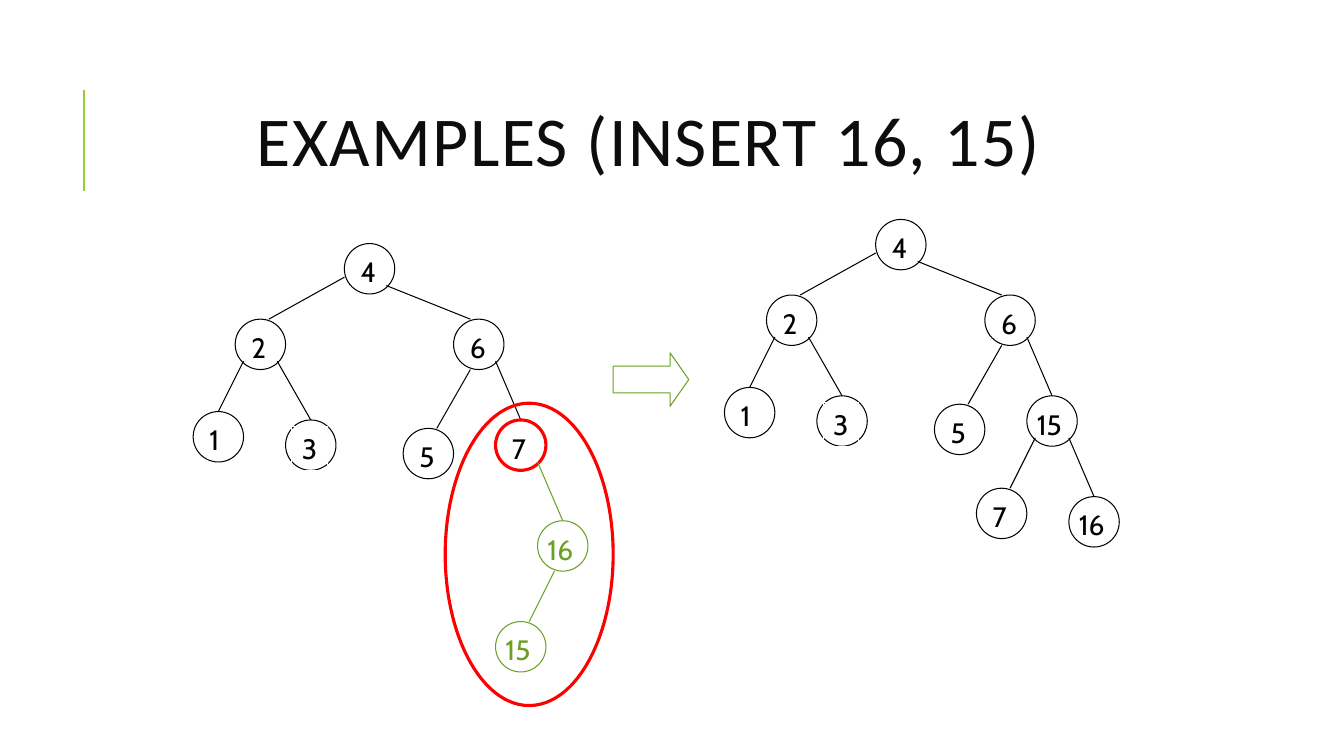
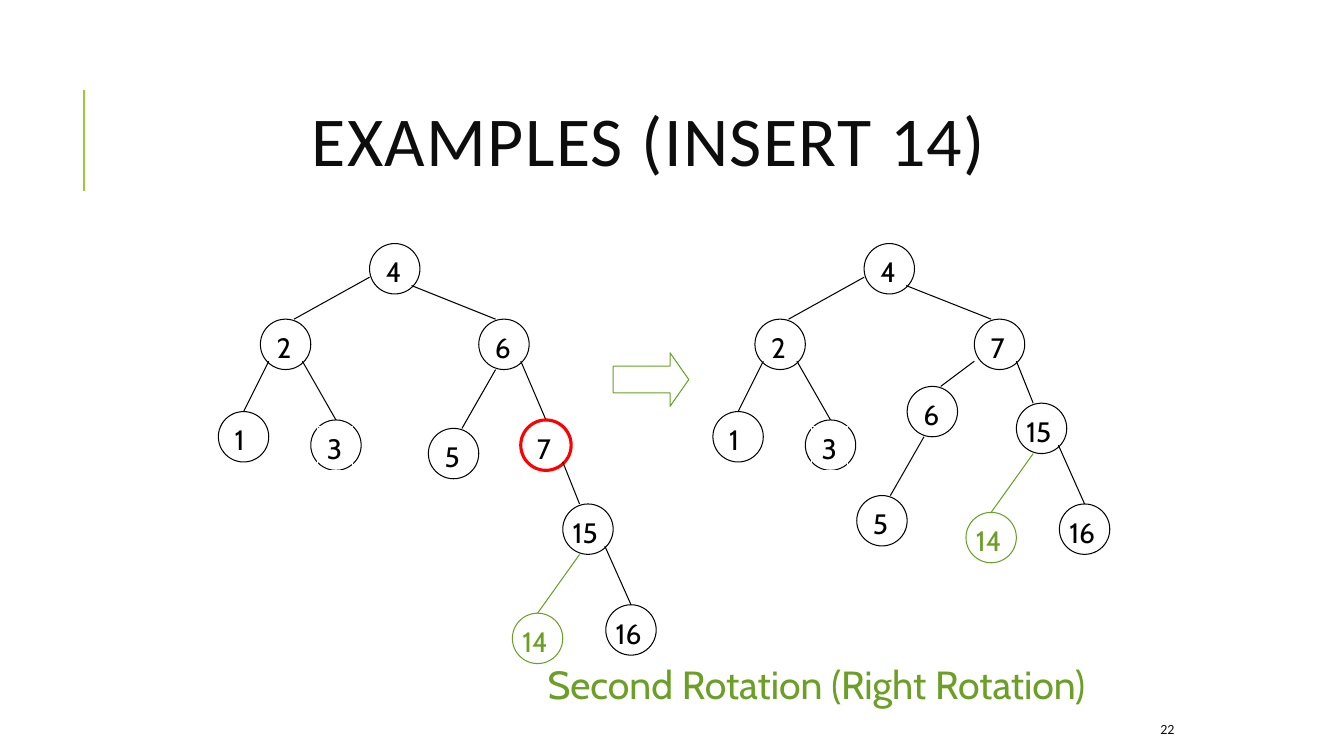
from pptx import Presentation
from pptx import util as u
from pptx.dml.color import RGBColor
from pptx.enum import shapes, text
from pptx.oxml.ns import qn
from lxml import etree

PX = 9525  # EMU per px, 96 px to the inch
COLORS = {"ink": "000000", "title": "0D0D0D", "bar": "99CB38",
          "green": "6B9F25", "red": "FF0000", "white": "FFFFFF"}
NODE = 48
INDENT = 36

# Node styles: outline colour, outline points, label colour
STYLES = {"plain": ("ink", 0.75, "ink"), "new": ("green", 0.75, "green"),
          "unbalanced": ("red", 2.25, "ink")}

# Where an edge leaves the parent's box and enters the child's box
EDGES = {
    "root left": ((0, 32), (32, 0)),
    "left": ((8, 40), (24, 0)),
    "left wide": ((8, 40), (32, 0)),
    "left low": ((16, 48), (32, 0)),
    "left long": ((16, 48), (24, 0)),
    "left flat": ((0, 40), (32, 0)),
    "right": ((40, 40), (24, 0)),
    "right steep": ((40, 40), (16, 0)),
}

# Nodes: value, offset from the root, parent, edge, style
LEFT_SIDE = [
    (4, 0, 0, None, None, "plain"),
    (2, -104, 72, 4, "root left", "plain"),
    (1, -144, 160, 2, "left", "plain"),
    (3, -56, 168, 2, "right", "plain"),
]
SIX_AND_FIVE = [
    (6, 104, 72, 4, "right steep", "plain"),
    (5, 56, 176, 6, "left low", "plain"),
]

SLIDES = [
    {
        "title": "EXAMPLES (INSERT 16, 15)",
        "trees": [
            ((328, 232), LEFT_SIDE + SIX_AND_FIVE + [
                (7, 144, 168, 6, "right", "unbalanced"),
                (16, 184, 264, 7, "right", "new"),
                (15, 144, 360, 16, "left low", "new"),
            ]),
            ((834, 209), LEFT_SIDE + SIX_AND_FIVE + [
                (15, 144, 168, 6, "right", "plain"),
                (16, 184, 264, 15, "right", "plain"),
                (7, 96, 256, 15, "left wide", "plain"),
            ]),
        ],
        "highlight": (424, 384, 160, 288),
    },
    {
        "title": "EXAMPLES (INSERT 14)",
        "trees": [
            ((352, 232), LEFT_SIDE + SIX_AND_FIVE + [
                (7, 144, 168, 6, "right", "unbalanced"),
                (15, 184, 248, 7, "right steep", "plain"),
                (16, 225, 344, 15, "right", "plain"),
                (14, 136, 352, 15, "left long", "new"),
            ]),
            ((823, 232), LEFT_SIDE + [
                (7, 105, 72, 4, "right steep", "plain"),
                (6, 41, 136, 7, "left flat", "plain"),
                (5, -7, 240, 6, "left low", "plain"),
                (15, 145, 152, 7, "right steep", "plain"),
                (16, 186, 248, 15, "right", "plain"),
                (14, 97, 256, 15, "left long", "new"),
            ]),
        ],
        "caption": "Second Rotation (Right Rotation)",
        "number": "22",
    },
]


def rgb(name):
    return RGBColor.from_string(COLORS[name])


def emu(*lengths):
    return [u.Emu(length * PX) for length in lengths]


def add_text(slide, content, box, size, color, font="Calibri",
             align=text.PP_ALIGN.LEFT, anchor=text.MSO_ANCHOR.TOP,
             spacing=None, tracking=None, hanging=False):
    """Add a one-line text box; a hanging one grows with its text and never wraps."""
    shape = slide.shapes.add_textbox(*emu(*box))
    frame = shape.text_frame
    frame.word_wrap = not hanging
    frame.vertical_anchor = anchor
    paragraph = frame.paragraphs[0]
    paragraph.alignment = align
    if spacing:
        paragraph.line_spacing = spacing
    if hanging:
        frame.auto_size = text.MSO_AUTO_SIZE.SHAPE_TO_FIT_TEXT
        properties = paragraph._p.get_or_add_pPr()
        properties.set("marL", str(INDENT * PX))
        properties.set("indent", str(-INDENT * PX))
    run = paragraph.add_run()
    run.text = content
    run.font.size = u.Pt(size)
    run.font.name = font
    run.font.color.rgb = rgb(color)
    if tracking:
        run._r.get_or_add_rPr().set("spc", str(tracking * 100))
    return shape


def add_outline(slide, kind, box, color, width=0.75):
    shape = slide.shapes.add_shape(kind, *emu(*box))
    shape.shadow.inherit = False
    shape.fill.background()
    shape.line.color.rgb = rgb(color)
    shape.line.width = u.Pt(width)
    return shape


def add_line(slide, start, end, color, width=0.75):
    line = slide.shapes.add_connector(shapes.MSO_CONNECTOR.STRAIGHT,
                                      *emu(*start, *end))
    line.line.color.rgb = rgb(color)
    line.line.width = u.Pt(width)
    etree.SubElement(line._element.spPr, qn("a:effectLst"))


def shift(point, offset):
    return point[0] + offset[0], point[1] + offset[1]


def add_node(slide, value, corner, style):
    outline, width, label_color = STYLES[style]
    add_outline(slide, shapes.MSO_SHAPE.OVAL, (*corner, NODE, NODE), outline, width)
    inset, label_width = (6, 34) if value < 10 else (0, NODE)
    label = add_text(slide, str(value), (*shift(corner, (inset, 6)), label_width, 42),
                     20, label_color, font="Cabin", hanging=True)
    if value == 3:
        label.line.color.rgb = rgb("white")
        label.line.width = u.Pt(0.75)


def add_tree(slide, root, nodes):
    corners = {value: shift(root, (x, y)) for value, x, y, *_ in nodes}
    for value, _, _, parent, edge, style in nodes:
        if parent:
            leave, enter = EDGES[edge]
            add_line(slide, shift(corners[parent], leave),
                     shift(corners[value], enter), STYLES[style][2])
        add_node(slide, value, corners[value], style)


def add_slide(presentation, content):
    slide = presentation.slides.add_slide(presentation.slide_layouts[6])
    add_line(slide, (80, 182), (80, 86), "bar", 1.5)
    add_text(slide, content["title"], (108, 61, 1020, 157), 50, "title",
             align=text.PP_ALIGN.CENTER, anchor=text.MSO_ANCHOR.MIDDLE,
             spacing=0.8, tracking=1)
    arrow = add_outline(slide, shapes.MSO_SHAPE.RIGHT_ARROW, (584, 336, 72, 51), "green")
    arrow.adjustments[1] = 0.35
    for root, nodes in content["trees"]:
        add_tree(slide, root, nodes)
    if "highlight" in content:
        add_outline(slide, shapes.MSO_SHAPE.OVAL, content["highlight"], "red", 2.25)
    if "caption" in content:
        add_text(slide, content["caption"], (512, 624, 564, 55), 28, "green",
                 font="Cabin", hanging=True)
    if "number" in content:
        add_text(slide, content["number"], (509, 680, 619, 29), 10, "title",
                 align=text.PP_ALIGN.RIGHT, anchor=text.MSO_ANCHOR.MIDDLE)


def main():
    presentation = Presentation()
    presentation.slide_width, presentation.slide_height = emu(1280, 720)
    for content in SLIDES:
        add_slide(presentation, content)
    presentation.save("out.pptx")


if __name__ == "__main__":
    main()
